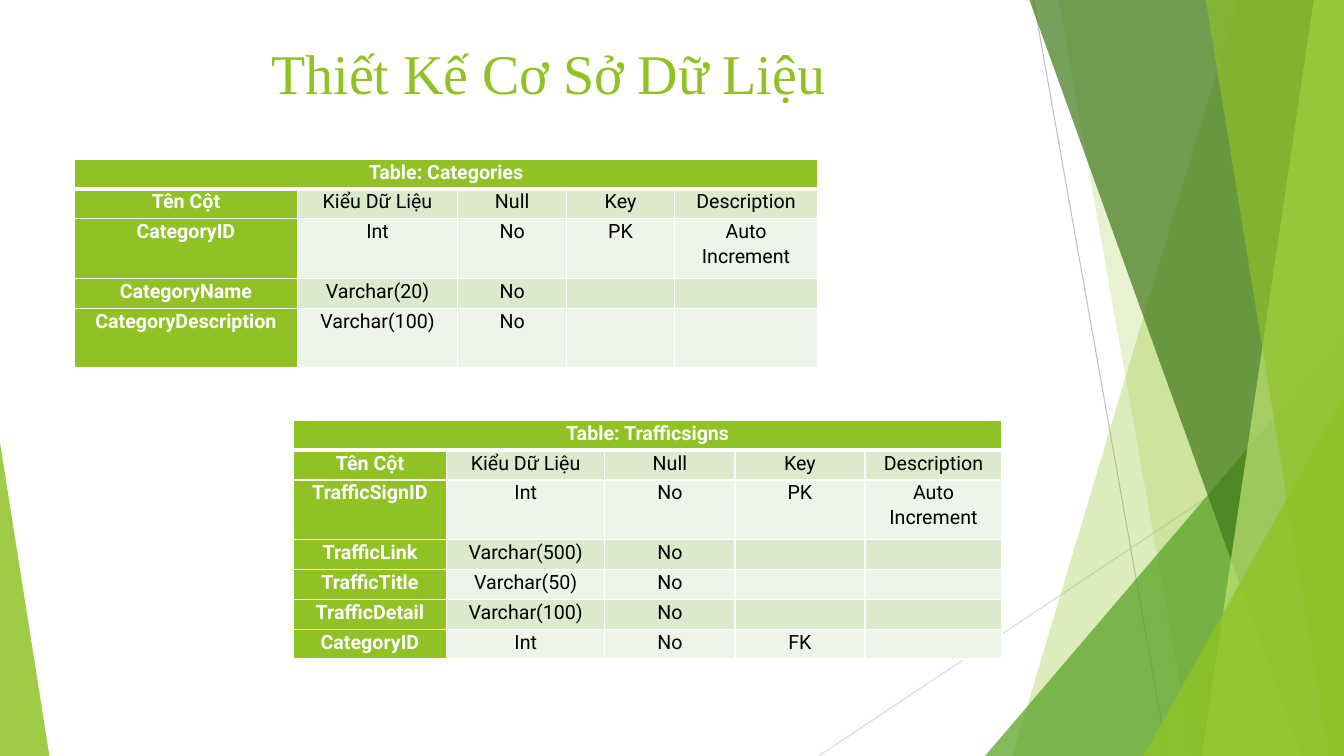
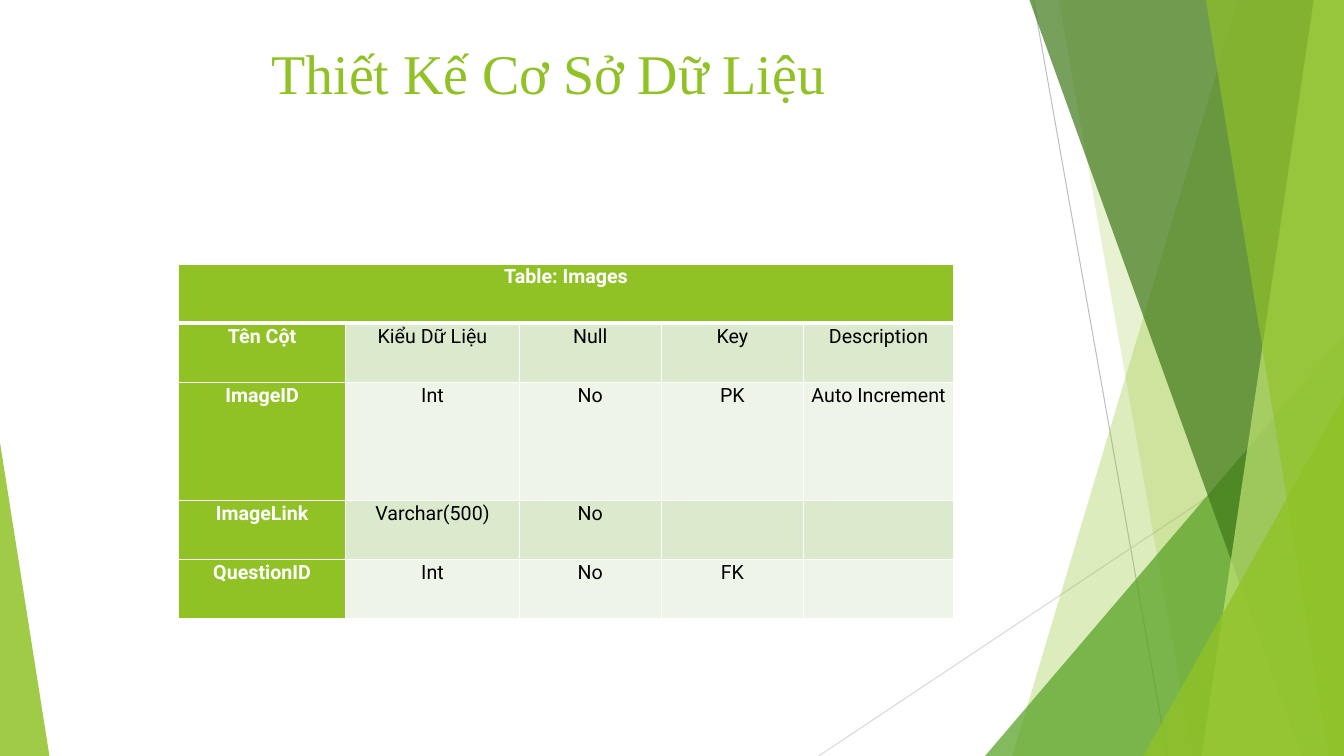
from lxml import etree
from pptx import Presentation
from pptx.dml.color import RGBColor
from pptx.enum.shapes import MSO_CONNECTOR, MSO_SHAPE
from pptx.enum.text import MSO_ANCHOR, MSO_AUTO_SIZE, PP_ALIGN
from pptx.oxml.ns import qn
from pptx.util import Inches, Pt

STRAIGHT = MSO_CONNECTOR.STRAIGHT
TRIANGLE = MSO_SHAPE.RIGHT_TRIANGLE
ISOSCELES = MSO_SHAPE.ISOSCELES_TRIANGLE
CENTER = PP_ALIGN.CENTER
TOP = MSO_ANCHOR.TOP
NO_AUTOFIT = MSO_AUTO_SIZE.NONE

WHITE = RGBColor(0xFF, 0xFF, 0xFF)
BLACK = RGBColor(0x00, 0x00, 0x00)
LIME = RGBColor(0x90, 0xC2, 0x26)
PALE_LIME = RGBColor(0xC0, 0xE4, 0x74)
GREEN = RGBColor(0x54, 0xA0, 0x21)
DARK_GREEN = RGBColor(0x3F, 0x78, 0x19)
BAND_DARK = RGBColor(0xDB, 0xE9, 0xCD)
BAND_LIGHT = RGBColor(0xEE, 0xF4, 0xE8)
GRAY = RGBColor(0xBF, 0xBF, 0xBF)
LIGHT_GRAY = RGBColor(0xD9, 0xD9, 0xD9)

TITLE_FONT = "Times New Roman"
TABLE_FONT = "Roboto"
TITLE_ONLY_LAYOUT = 5
WIDTH, HEIGHT = 13.33, 7.5
TITLE_BOX = (0.74, 0.26, 9.4, 1.07)

# Start, end, colour
LINES = [
    ((10.25, 0), (11.58, HEIGHT), GRAY),
    ((WIDTH, 4.03), (8.12, HEIGHT), LIGHT_GRAY),
]
# Bands reach the right edge: (top left x, bottom left x, colour, opacity %)
# Triangles stand on the bottom edge: (left, top, width, apex, colour, opacity %)
FACETS = [
    ("band", 12.28, 10.04, LIME, 30),
    ("band", 10.5, 11.83, LIME, 20),
    ("triangle", 9.77, 3.33, 3.56, 1, GREEN, 72),
    ("band", 10.21, 12.91, DARK_GREEN, 70),
    ("band", 13.03, 11.92, PALE_LIME, 70),
    ("band", 11.96, 13.18, LIME, 65),
    ("triangle", 11.34, 3.93, 1.99, 1, LIME, 80),
    ("triangle", 0, 4.39, 0.49, 0, LIME, 85),
]

TITLE = "Thiết Kế Cơ Sở Dữ Liệu"
HEADINGS = ("Tên Cột", "Kiểu Dữ Liệu", "Null", "Key", "Description")

CATEGORIES = {
    "name": "Table: Categories",
    "at": (0.74, 1.58),
    "height": 2.07,
    "columns": (2.21, 1.59, 1.08, 1.07, 1.42),
    "double_rows": (2, 4),
    "fields": [
        ("CategoryID", "Int", "No", "PK", "Auto Increment"),
        ("CategoryName", "Varchar(20)", "No", "", ""),
        ("CategoryDescription", "Varchar(100)", "No", "", ""),
    ],
}
TRAFFIC_SIGNS = {
    "name": "Table: Trafficsigns",
    "at": (2.91, 4.17),
    "height": 2.37,
    "columns": (1.52, 1.57, 1.29, 1.29, 1.36),
    "double_rows": (2,),
    "fields": [
        ("TrafficSignID", "Int", "No", "PK", "Auto Increment"),
        ("TrafficLink", "Varchar(500)", "No", "", ""),
        ("TrafficTitle", "Varchar(50)", "No", "", ""),
        ("TrafficDetail", "Varchar(100)", "No", "", ""),
        ("CategoryID", "Int", "No", "FK", ""),
    ],
}
IMAGES = {
    "name": "Table: Images",
    "at": (1.77, 2.62),
    "height": 3.52,
    "columns": (1.66, 1.72, 1.41, 1.41, 1.49),
    "double_rows": (2,),
    "fields": [
        ("ImageID", "Int", "No", "PK", "Auto Increment"),
        ("ImageLink", "Varchar(500)", "No", "", ""),
        ("QuestionID", "Int", "No", "FK", ""),
    ],
}
SLIDES = [(TRAFFIC_SIGNS, CATEGORIES), (IMAGES,)]


def inches(values):
    return [Inches(value) for value in values]


def add_line(shapes, start, end, color):
    line = shapes.add_connector(STRAIGHT, *inches(start + end))
    line.line.color.rgb = color
    line.line.width = Pt(0.75)
    etree.SubElement(line.element.spPr, qn("a:effectLst"))
    return line


def add_band(shapes, top_x, bottom_x):
    builder = shapes.build_freeform(Inches(top_x), 0)
    corners = [(WIDTH, 0), (WIDTH, HEIGHT), (bottom_x, HEIGHT)]
    builder.add_line_segments([inches(corner) for corner in corners])
    return builder.convert_to_shape()


def add_triangle(shapes, left, top, width, apex):
    box = inches((left, top, width, HEIGHT - top))
    triangle = shapes.add_shape(ISOSCELES, *box)
    triangle.adjustments[0] = apex
    return triangle


def paint(shape, color, opacity):
    shape.shadow.inherit = False
    shape.line.fill.background()
    shape.fill.solid()
    shape.fill.fore_color.rgb = color
    color_element = shape.element.spPr.find(".//" + qn("a:srgbClr"))
    etree.SubElement(color_element, qn("a:alpha"), val=str(opacity * 1000))


def decorate_layout(layout, slide):
    """Draw the facets with the slide's shape tools, then move them to its layout."""
    parts = [add_line(slide.shapes, *line) for line in LINES]
    draw = {"band": add_band, "triangle": add_triangle}
    for kind, *geometry, color, opacity in FACETS:
        shape = draw[kind](slide.shapes, *geometry)
        paint(shape, color, opacity)
        parts.append(shape)
    first_placeholder = layout.placeholders[0].element
    for part in parts:
        first_placeholder.addprevious(part.element)


def place_title(title):
    title.left, title.top, title.width, title.height = inches(TITLE_BOX)


def write_title(title):
    place_title(title)
    frame = title.text_frame
    frame.auto_size = NO_AUTOFIT
    frame.vertical_anchor = TOP
    frame.margin_top = Inches(0.12)
    paragraph = frame.paragraphs[0]
    paragraph.alignment = CENTER
    run = paragraph.add_run()
    run.text = TITLE
    run.font.name = TITLE_FONT
    run.font.size = Pt(40)
    run.font.color.rgb = LIME


def add_borders(cell, row):
    """White rules, heavier between the table's name and its headings."""
    heavy_edge = {0: "B", 1: "T"}.get(row)
    properties = cell._tc.get_or_add_tcPr()
    for edge in "LRTB":
        width = Pt(3 if edge == heavy_edge else 1)
        line = etree.SubElement(properties, qn("a:ln" + edge), w=str(width))
        fill = etree.SubElement(line, qn("a:solidFill"))
        etree.SubElement(fill, qn("a:srgbClr"), val=str(WHITE))


def format_cell(cell, text, row, column):
    is_header = row == 0 or column == 0
    add_borders(cell, row)
    cell.fill.solid()
    band = BAND_DARK if row % 2 else BAND_LIGHT
    cell.fill.fore_color.rgb = LIME if is_header else band
    cell.margin_left = cell.margin_right = Inches(0.07)
    cell.margin_top = cell.margin_bottom = 0
    cell.vertical_anchor = TOP
    paragraph = cell.text_frame.paragraphs[0]
    paragraph.alignment = CENTER
    paragraph.line_spacing = 1.07
    if not text:
        etree.SubElement(paragraph._p, qn("a:endParaRPr"), sz="1400")
        return
    run = paragraph.add_run()
    run.text = text
    run.font.name = TABLE_FONT
    run.font.size = Pt(14)
    run.font.bold = is_header
    run.font.color.rgb = WHITE if is_header else BLACK


def add_schema_table(slide, schema):
    name_row = (schema["name"],) + ("",) * (len(HEADINGS) - 1)
    rows = [name_row, HEADINGS, *schema["fields"]]
    widths = schema["columns"]
    size = (sum(widths), schema["height"])
    frame = slide.shapes.add_table(len(rows), len(widths), *inches(schema["at"] + size))
    table = frame.table
    table.first_col = True
    table.horz_banding = False
    for column, width in zip(table.columns, widths):
        column.width = Inches(width)
    unit = schema["height"] / (len(rows) + len(schema["double_rows"]))
    for row, texts in enumerate(rows):
        units = 2 if row in schema["double_rows"] else 1
        table.rows[row].height = Inches(unit * units)
        for column, text in enumerate(texts):
            format_cell(table.cell(row, column), text, row, column)
    table.cell(0, 0).merge(table.cell(0, len(widths) - 1))


def main():
    presentation = Presentation()
    presentation.slide_width = Inches(WIDTH)
    presentation.slide_height = Inches(HEIGHT)
    layout = presentation.slide_layouts[TITLE_ONLY_LAYOUT]
    place_title(layout.placeholders[0])
    for index, schemas in enumerate(SLIDES):
        slide = presentation.slides.add_slide(layout)
        if index == 0:
            decorate_layout(layout, slide)
        write_title(slide.shapes.title)
        for schema in schemas:
            add_schema_table(slide, schema)
    presentation.save("out.pptx")


if __name__ == "__main__":
    main()
